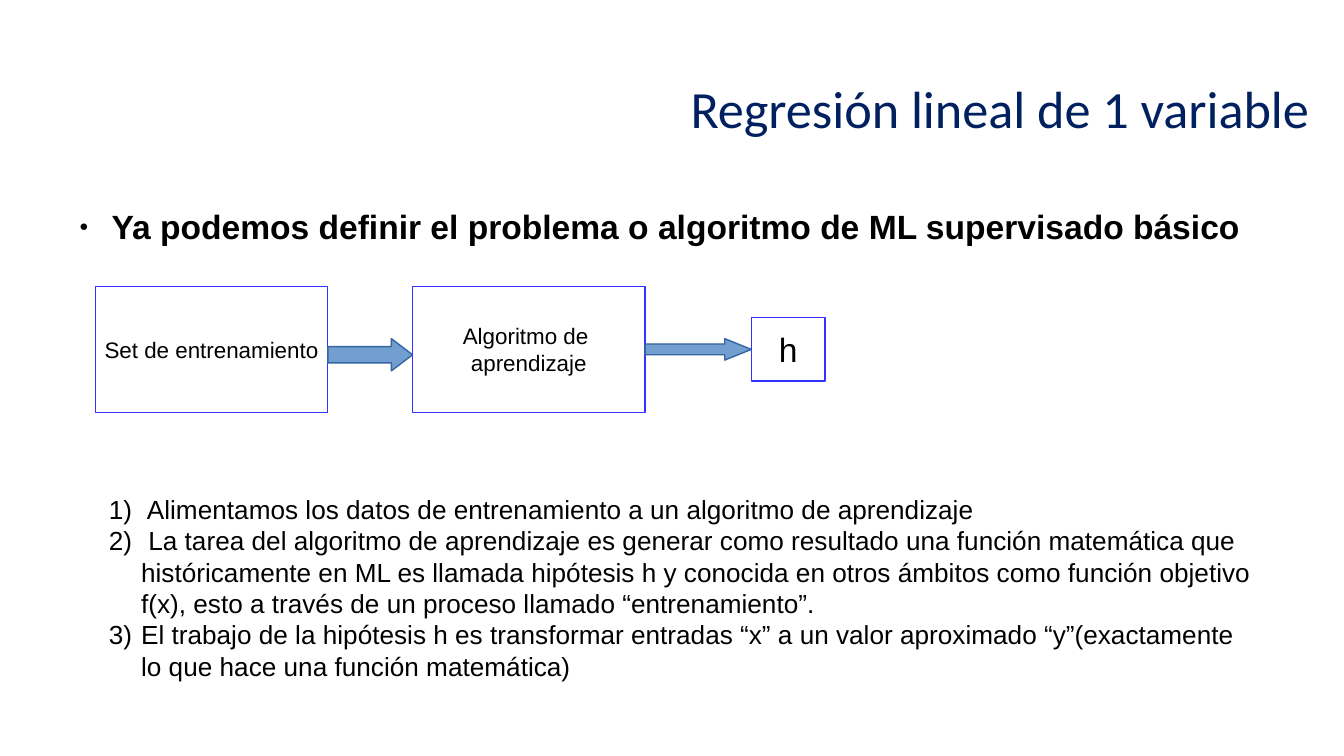
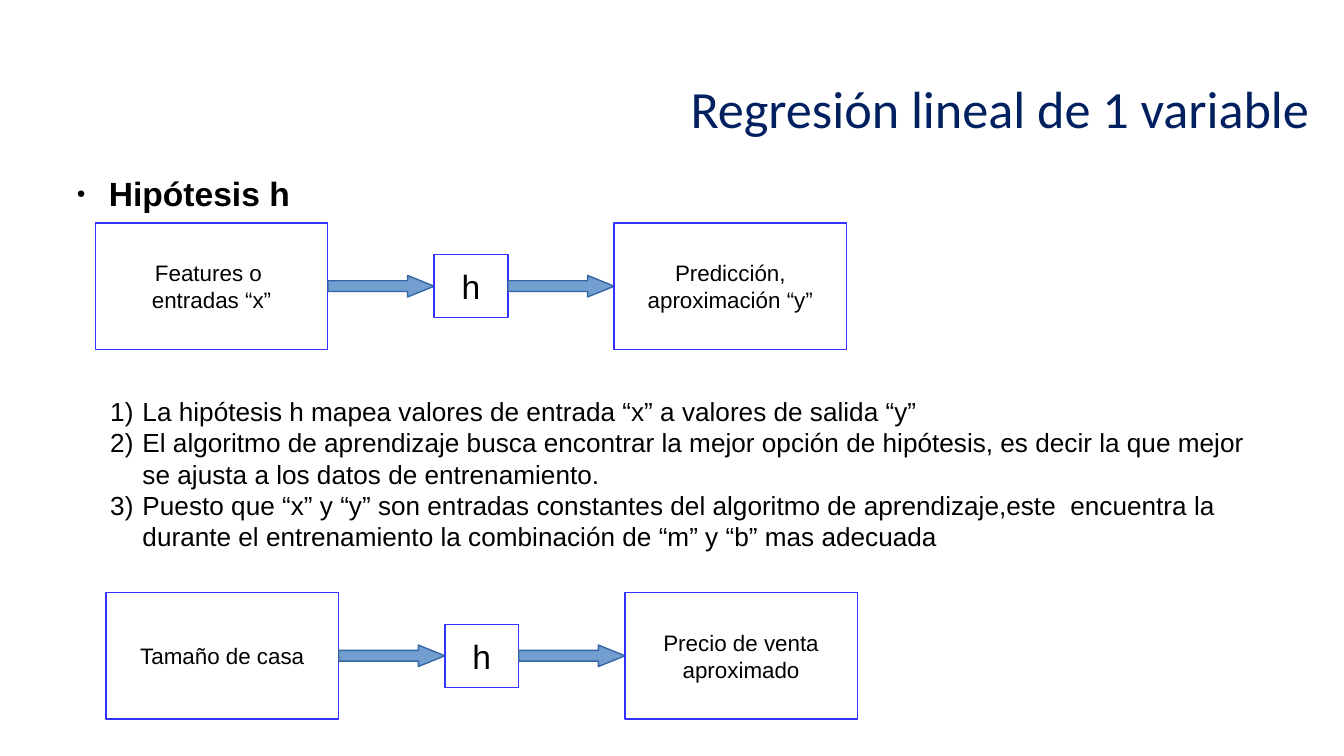
from dataclasses import dataclass

from lxml.etree import SubElement
from pptx import Presentation
from pptx.dml.color import RGBColor
from pptx.enum.shapes import MSO_SHAPE as Shape
from pptx.enum.text import MSO_ANCHOR as Anchor, MSO_AUTO_SIZE as AutoSize, PP_ALIGN as Align
from pptx.oxml.ns import qn
from pptx.util import Inches, Pt


@dataclass(frozen=True)
class Theme:
    title_color: str = "002060"
    text_color: str = "000000"
    box_fill: str = "FFFFFF"
    box_line: str = "3333FF"
    arrow_fill: str = "729FCF"
    arrow_line: str = "3465A4"
    title_font: str = "Calibri"
    body_font: str = "Arial"
    title_size: int = 28
    heading_size: int = 18
    list_size: int = 14
    step_size: int = 12
    hypothesis_size: int = 18
    line_width: float = 0.75
    indent: float = 0.24


@dataclass(frozen=True)
class Step:
    text: str
    width: float = 1.73
    height: float = 0.94
    size: int = Theme.step_size


@dataclass(frozen=True)
class Arrow:
    length: float = 0.79
    height: float = 0.16
    drop: float = 0


THEME = Theme()
TITLE = "Regresión lineal de 1 variable"
HYPOTHESIS = Step("h", 0.55, 0.47, THEME.hypothesis_size)
TWO_CONTENT_LAYOUT = 3


def rgb(color):
    return RGBColor.from_string(color)


def place(shape, left, top, width, height):
    shape.left, shape.top = Inches(left), Inches(top)
    shape.width, shape.height = Inches(width), Inches(height)


def format_runs(para, size, font=THEME.body_font, color=THEME.text_color, bold=False):
    for span in para.runs:
        span.font.size = Pt(size)
        span.font.name = font
        span.font.bold = bold
        span.font.color.rgb = rgb(color)


def style_shape(shape, fill, line):
    shape.shadow.inherit = False
    shape.fill.solid()
    shape.fill.fore_color.rgb = rgb(fill)
    shape.line.color.rgb = rgb(line)
    shape.line.width = Pt(THEME.line_width)


def set_marker(para, tag, scale=100, **attributes):
    """Give the paragraph a hanging indent and a bullet or number."""
    properties = para._p.get_or_add_pPr()
    indent = Inches(THEME.indent)
    properties.set("marL", str(indent))
    properties.set("indent", str(-indent))
    color = SubElement(properties, qn("a:buClr"))
    SubElement(color, qn("a:srgbClr"), val=THEME.text_color)
    SubElement(properties, qn("a:buSzPct"), val=str(scale * 1000))
    SubElement(properties, qn("a:buFont"), typeface=THEME.body_font)
    SubElement(properties, qn(tag), **attributes)


def fill_list(box, items, size, bold, tag, **marker):
    frame = box.text_frame
    frame.word_wrap = True
    frame.auto_size = AutoSize.NONE
    frame.vertical_anchor = Anchor.TOP
    for number, item in enumerate(items):
        para = frame.add_paragraph() if number else frame.paragraphs[0]
        para.text = item
        para.alignment = Align.LEFT
        para.space_before = para.space_after = Pt(0)
        format_runs(para, size, bold=bold)
        set_marker(para, tag, **marker)


def add_titled_slide(deck):
    slide = deck.slides.add_slide(deck.slide_layouts[TWO_CONTENT_LAYOUT])
    title = slide.shapes.title
    place(title, 0.83, 0.47, 9.01, 0.66)
    frame = title.text_frame
    frame.text = TITLE
    frame.auto_size = AutoSize.NONE
    frame.vertical_anchor = Anchor.MIDDLE
    para = frame.paragraphs[0]
    para.alignment = Align.RIGHT
    format_runs(para, THEME.title_size, THEME.title_font, THEME.title_color)
    return slide


def set_heading(slide, text, left, top):
    box = slide.placeholders[1]
    place(box, left, top, 9.04, 0.49)
    fill_list(box, [text], THEME.heading_size, True, "a:buChar", scale=45, char="●")


def set_numbered_list(slide, items, left, top, height):
    box = slide.placeholders[2]
    place(box, left, top, 8.74, height)
    fill_list(box, items, THEME.list_size, False, "a:buAutoNum", type="arabicParenR")


def add_step(slide, step, left, middle):
    box = slide.shapes.add_shape(
        Shape.RECTANGLE, Inches(left), Inches(middle - step.height / 2),
        Inches(step.width), Inches(step.height))
    style_shape(box, THEME.box_fill, THEME.box_line)
    frame = box.text_frame
    frame.word_wrap = False
    frame.vertical_anchor = Anchor.MIDDLE
    para = frame.paragraphs[0]
    para.text = step.text
    para.alignment = Align.CENTER
    format_runs(para, step.size)


def add_arrow(slide, arrow, left, middle):
    """Draw a block arrow: the head takes a quarter of its length, the shaft half its height."""
    middle += arrow.drop
    tip = left + arrow.length
    neck = tip - arrow.length / 4
    half, shaft = arrow.height / 2, arrow.height / 4
    outline = [(left, middle - shaft), (neck, middle - shaft), (neck, middle - half),
               (tip, middle), (neck, middle + half), (neck, middle + shaft),
               (left, middle + shaft)]
    points = [(Inches(x), Inches(y)) for x, y in outline]
    builder = slide.shapes.build_freeform(*points[0])
    builder.add_line_segments(points[1:], close=True)
    style_shape(builder.convert_to_shape(), THEME.arrow_fill, THEME.arrow_line)


def add_flow(slide, left, middle, parts):
    """Lay steps and arrows end to end, centred on one horizontal line."""
    for part in parts:
        if isinstance(part, Arrow):
            add_arrow(slide, part, left, middle)
            left += part.length
        else:
            add_step(slide, part, left, middle)
            left += part.width


def add_hypothesis_flow(slide, left, middle, source, result):
    add_flow(slide, left, middle,
             [Step(source), Arrow(), HYPOTHESIS, Arrow(), Step(result)])


def build_algorithm_slide(deck):
    slide = add_titled_slide(deck)
    set_heading(slide, "Ya podemos definir el problema o algoritmo de ML supervisado básico",
                0.49, 1.48)
    add_flow(slide, 0.71, 2.6, [
        Step("Set de entrenamiento"), Arrow(0.63, 0.24, drop=0.04),
        Step("Algoritmo de \naprendizaje"), Arrow(), HYPOTHESIS])
    set_numbered_list(slide, [
        " Alimentamos los datos de entrenamiento a un algoritmo de aprendizaje",
        " La tarea del algoritmo de aprendizaje es generar como resultado una función "
        "matemática que\nhistóricamente en ML es llamada hipótesis h y conocida en otros "
        "ámbitos como función objetivo f(x), esto a través de un proceso llamado "
        "“entrenamiento”.",
        "El trabajo de la hipótesis h es transformar entradas “x” a un valor aproximado "
        "“y”(exactamente lo que hace una función matemática)",
    ], 0.71, 3.62, 1.41)


def build_hypothesis_slide(deck):
    slide = add_titled_slide(deck)
    set_heading(slide, "Hipótesis h", 0.47, 1.24)
    add_hypothesis_flow(slide, 0.71, 2.13, "Features o \nentradas “x”",
                        "Predicción,\naproximación “y”")
    set_numbered_list(slide, [
        "La hipótesis h mapea valores de entrada “x” a valores de salida “y”",
        "El algoritmo de aprendizaje busca encontrar la mejor opción de hipótesis, es decir "
        "la que mejor\nse ajusta a los datos de entrenamiento.",
        "Puesto que “x” y “y” son entradas constantes del algoritmo de aprendizaje,este  "
        "encuentra la durante el entrenamiento la combinación de “m” y “b” mas adecuada",
    ], 0.72, 2.89, 1.19)
    add_hypothesis_flow(slide, 0.79, 4.88, "Tamaño de casa", "Precio de venta\naproximado")


def main():
    deck = Presentation()
    deck.slide_width = Inches(10)
    deck.slide_height = deck.slide_width * 9 // 16
    build_algorithm_slide(deck)
    build_hypothesis_slide(deck)
    deck.save("out.pptx")


if __name__ == "__main__":
    main()
